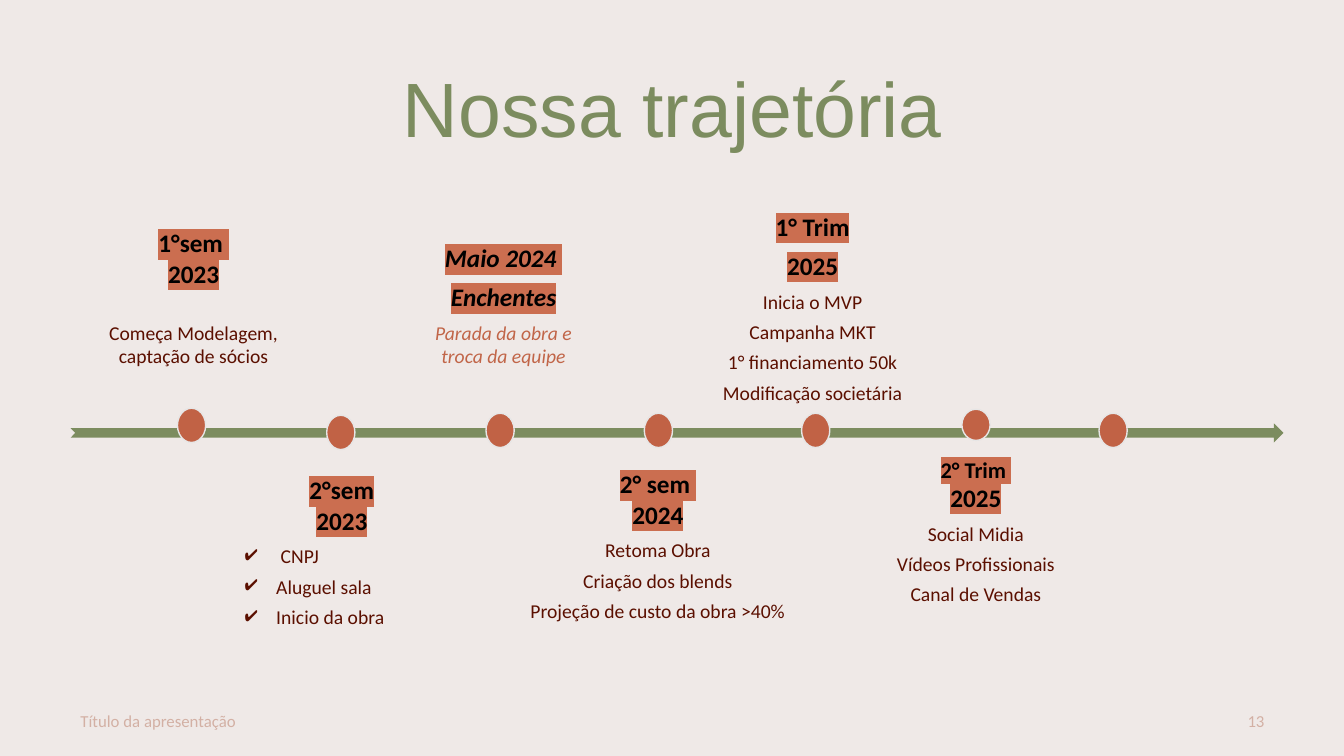
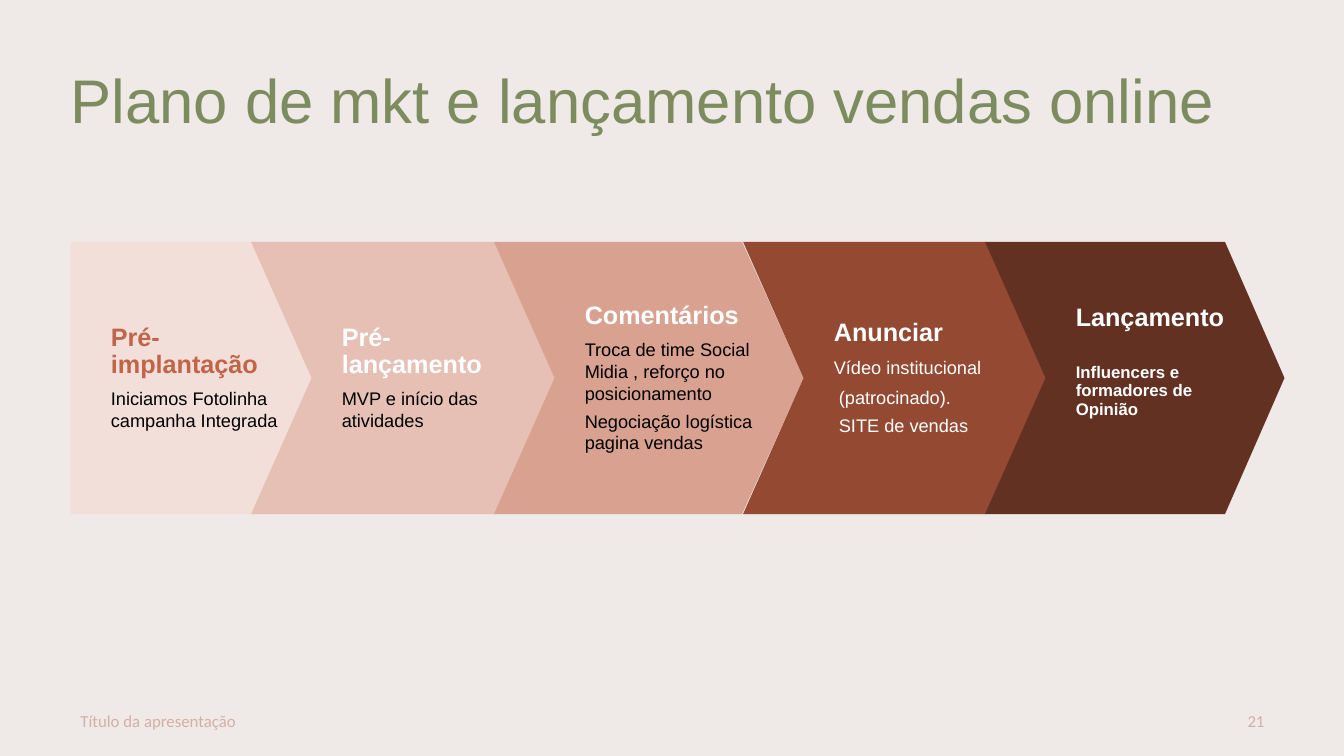
"""Build two slides: a company timeline and a marketing launch plan."""
from lxml import etree
from pptx import Presentation
from pptx import util as u
from pptx.dml.color import RGBColor
from pptx.enum import shapes, text
from pptx.oxml.ns import qn

PX = 9144
SLIDE_W, SLIDE_H = 1333, 750

CREAM = RGBColor(0xEF, 0xE9, 0xE7)
OLIVE = RGBColor(0x7C, 0x8C, 0x5F)
FOOTER_PINK = RGBColor(0xD3, 0xB0, 0xA4)
WINE = RGBColor(0x5B, 0x0F, 0x00)
CLAY = RGBColor(0xC1, 0x65, 0x48)
MARKER_FILL = RGBColor(0xC1, 0x62, 0x45)
MARKER_LINE = RGBColor(0xE7, 0xE6, 0xE6)
DATE_HIGHLIGHT = RGBColor(0xCB, 0x6E, 0x50)
BLACK = RGBColor(0, 0, 0)
WHITE = RGBColor(0xFF, 0xFF, 0xFF)
BLUSH = RGBColor(0xF2, 0xDF, 0xD9)
ROSE = RGBColor(0xE6, 0xC0, 0xB4)
SALMON = RGBColor(0xD9, 0xA2, 0x90)
RUST = RGBColor(0x94, 0x49, 0x32)
BROWN = RGBColor(0x62, 0x31, 0x21)

LEFT, CENTER, RIGHT, JUSTIFY = (text.PP_ALIGN.LEFT, text.PP_ALIGN.CENTER,
                                text.PP_ALIGN.RIGHT, text.PP_ALIGN.JUSTIFY)
TOP, MIDDLE, BOTTOM = (text.MSO_ANCHOR.TOP, text.MSO_ANCHOR.MIDDLE,
                       text.MSO_ANCHOR.BOTTOM)

TITLE = {"name": "Arial", "color": OLIVE, "line_spacing": 0.9}
FOOTER = {"name": "Calibri", "size": 12, "color": FOOTER_PINK}
DATE = {"name": "Calibri", "size": 18, "bold": True, "color": BLACK,
        "highlight": DATE_HIGHLIGHT, "alignment": CENTER}
DATE_NEXT = {**DATE, "space_before": 6.3}
FLOOD_DATE = {**DATE, "italic": True}
EVENT = {"name": "Calibri", "size": 14, "color": WINE, "alignment": CENTER,
         "space_before": 4.9}
FIRST_EVENT = {**EVENT, "space_before": 6.3}
CHECK = {**EVENT, "alignment": JUSTIFY, "bullet": "✔"}
STEP = {"name": "Arial", "size": 18, "bold": True, "color": WHITE,
        "line_spacing": 0.9}
DETAIL = {"name": "Arial", "size": 13, "color": BLACK, "space_before": 6.3}
LAST_DETAIL = {**DETAIL, "space_before": 4.2}

FOOTER_TEXT = "Título da apresentação"

MILESTONES = [
    ((85, 178, 214, 201), BOTTOM, 14, [
        ("1°sem \n2023", DATE),
        ("Começa Modelagem, captação de sócios", {**EVENT, "space_before": 23.3})]),
    ((229, 457, 220, 201), TOP, 14, [
        ("2°sem\n2023", DATE),
        (" CNPJ", {**CHECK, "space_before": 6.3}),
        ("Aluguel sala", CHECK),
        ("Inicio da obra", CHECK)]),
    ((403, 178, 193, 201), BOTTOM, 14, [
        ("Maio 2024 ", FLOOD_DATE),
        ("Enchentes", {**FLOOD_DATE, "space_before": 6.3}),
        ("Parada da obra e troca da equipe",
         {**FIRST_EVENT, "italic": True, "color": CLAY})]),
    ((510, 451, 285, 225), TOP, 14, [
        ("2° sem \n2024", DATE),
        ("Retoma Obra", FIRST_EVENT),
        ("Criação dos blends", EVENT),
        ("Projeção de custo da obra >40%", EVENT)]),
    ((632, 190, 348, 225), BOTTOM, 14, [
        ("1° Trim", DATE),
        ("2025", DATE_NEXT),
        ("Inicia o MVP", FIRST_EVENT),
        ("Campanha MKT", EVENT),
        ("1° financiamento 50k", EVENT),
        ("Modificação societária", EVENT)]),
    ((818, 452, 300, 228), TOP, 0, [
        ("2° Trim \n2025", {**DATE, "first_size": 16}),
        ("Social Midia", FIRST_EVENT),
        ("Vídeos Profissionais", EVENT),
        ("Canal de Vendas", EVENT)]),
]
MARKER_W = 28
MARKERS = [(176, 405, 34), (324, 412, 34), (482, 410, 34), (639, 410, 34),
           (795, 410, 34), (1090, 410, 34), (954, 406, 31)]

CHEVRON_TOP, CHEVRON_H, NOTCH = 240, 270, 60
FIRST_INSETS, STEP_INSETS, LAUNCH_INSETS = (
    (40, 20, 45, 20), (90, 20, 40, 20), (90, 20, 40, 52))
STEPS = [
    (70, 274, 326, 0, BLUSH, FIRST_INSETS, [
        ("Pré-implantação", {**STEP, "color": CLAY}),
        ("Iniciamos Fotolinha campanha Integrada", DETAIL)]),
    (249, 491, 551, NOTCH, ROSE, STEP_INSETS, [
        ("Pré-lançamento", STEP),
        ("MVP e início das atividades", DETAIL)]),
    (490, 736, 797, NOTCH, SALMON, STEP_INSETS, [
        ("Comentários", STEP),
        ("Troca de time Social Midia , reforço no posicionamento", DETAIL),
        ("Negociação logística pagina vendas", LAST_DETAIL)]),
    (737, 978, 1038, NOTCH, RUST, STEP_INSETS, [
        ("Anunciar", STEP),
        ("Vídeo institucional", {**DETAIL, "color": WHITE}),
        (" (patrocinado).", {**DETAIL, "color": WHITE}),
        (" SITE de vendas", {**LAST_DETAIL, "color": WHITE})]),
    (977, 1215, 1274, NOTCH, BROWN, LAUNCH_INSETS, [
        ("Lançamento", STEP),
        ("Influencers e formadores de Opinião",
         {**STEP, "size": 12, "space_before": 22.9})]),
]


def px(*lengths):
    return [u.Emu(length * PX) for length in lengths]


def add_highlight(run, color):
    fill = run.font._element.find(qn("a:solidFill"))
    highlight = etree.Element(qn("a:highlight"))
    etree.SubElement(highlight, qn("a:srgbClr"), val=str(color))
    fill.addnext(highlight)


def add_bullet(paragraph, mark, color, indent=31):
    props = paragraph._p.get_or_add_pPr()
    props.set("marL", str(indent * PX))
    props.set("indent", str(-indent * PX))
    bullet_color = etree.SubElement(props, qn("a:buClr"))
    etree.SubElement(bullet_color, qn("a:srgbClr"), val=str(color))
    etree.SubElement(props, qn("a:buChar"), char=mark)


def format_paragraph(paragraph, style):
    for key in ("alignment", "line_spacing"):
        if key in style:
            setattr(paragraph, key, style[key])
    if "space_before" in style:
        paragraph.space_before = u.Pt(style["space_before"])
    if "bullet" in style:
        add_bullet(paragraph, style["bullet"], style["color"])
    for position, run in enumerate(paragraph.runs):
        size = style["size"] if position else style.get("first_size", style["size"])
        font = {"name": style["name"], "size": u.Pt(size),
                "bold": style.get("bold", False), "italic": style.get("italic", False)}
        for key, value in font.items():
            setattr(run.font, key, value)
        run.font.color.rgb = style["color"]
        if "highlight" in style:
            add_highlight(run, style["highlight"])


def write(shape, lines, anchor=TOP, insets=(0, 0, 0, 0)):
    frame = shape.text_frame
    frame.word_wrap = True
    frame.vertical_anchor = anchor
    for side, inset in zip(("left", "top", "right", "bottom"), px(*insets)):
        setattr(frame, "margin_" + side, inset)
    for position, (words, style) in enumerate(lines):
        paragraph = frame.add_paragraph() if position else frame.paragraphs[0]
        paragraph.text = words
        format_paragraph(paragraph, {"alignment": LEFT, **style})


def add_text(slide, box, lines, anchor=TOP, insets=(0, 0, 0, 0)):
    write(slide.shapes.add_textbox(*px(*box)), lines, anchor, insets)


def paint(shape, fill, line=None):
    shape.shadow.inherit = False
    shape.fill.solid()
    shape.fill.fore_color.rgb = fill
    if line is None:
        shape.line.fill.background()
    else:
        shape.line.color.rgb = line
        shape.line.width = u.Pt(1)


def new_slide(prs, title, title_style, number):
    slide = prs.slides.add_slide(prs.slide_layouts[6])
    add_text(slide, (70, 70, 1194, 107), [(title, {**TITLE, **title_style})])
    for left, width, words, side in ((70, 450, FOOTER_TEXT, LEFT),
                                     (964, 300, number, RIGHT)):
        add_text(slide, (left, 695, width, 40),
                 [(words, {**FOOTER, "alignment": side})], MIDDLE, (10, 5, 10, 5))
    return slide


def build_timeline(prs):
    slide = new_slide(prs, "Nossa trajetória", {"size": 55, "alignment": CENTER}, "13")
    axis = slide.shapes.add_shape(shapes.MSO_SHAPE.NOTCHED_RIGHT_ARROW,
                                  *px(70, 420, 1203, 19))
    paint(axis, OLIVE)
    for box, anchor, inset, lines in MILESTONES:
        add_text(slide, box, lines, anchor, (inset,) * 4)
    for left, top, height in MARKERS:
        marker = slide.shapes.add_shape(shapes.MSO_SHAPE.OVAL,
                                        *px(left, top, MARKER_W, height))
        paint(marker, MARKER_FILL, MARKER_LINE)


def build_launch_plan(prs):
    slide = new_slide(prs, "Plano de mkt e lançamento vendas online", {"size": 44}, "21")
    middle, bottom = CHEVRON_TOP + CHEVRON_H // 2, CHEVRON_TOP + CHEVRON_H
    for left, shoulder, tip, notch, fill, insets, lines in STEPS:
        outline = slide.shapes.build_freeform(left, CHEVRON_TOP, scale=PX)
        outline.add_line_segments([(shoulder, CHEVRON_TOP), (tip, middle),
                                   (shoulder, bottom), (left, bottom),
                                   (left + notch, middle)])
        chevron = outline.convert_to_shape()
        paint(chevron, fill)
        write(chevron, lines, MIDDLE, insets)


def main():
    prs = Presentation()
    prs.slide_width, prs.slide_height = px(SLIDE_W, SLIDE_H)
    background = prs.slide_master.background.fill
    background.solid()
    background.fore_color.rgb = CREAM
    build_timeline(prs)
    build_launch_plan(prs)
    prs.save("out.pptx")


if __name__ == "__main__":
    main()
